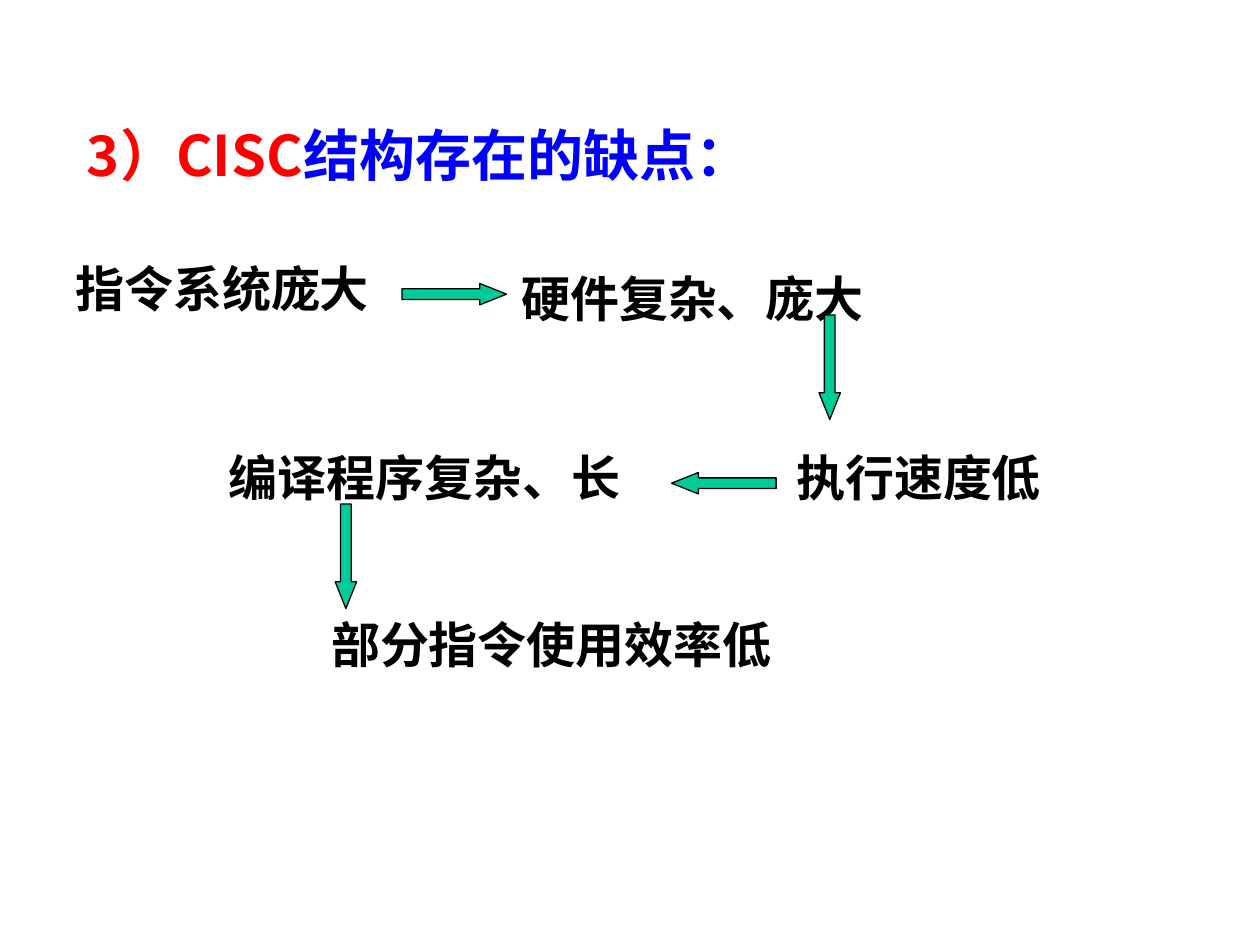
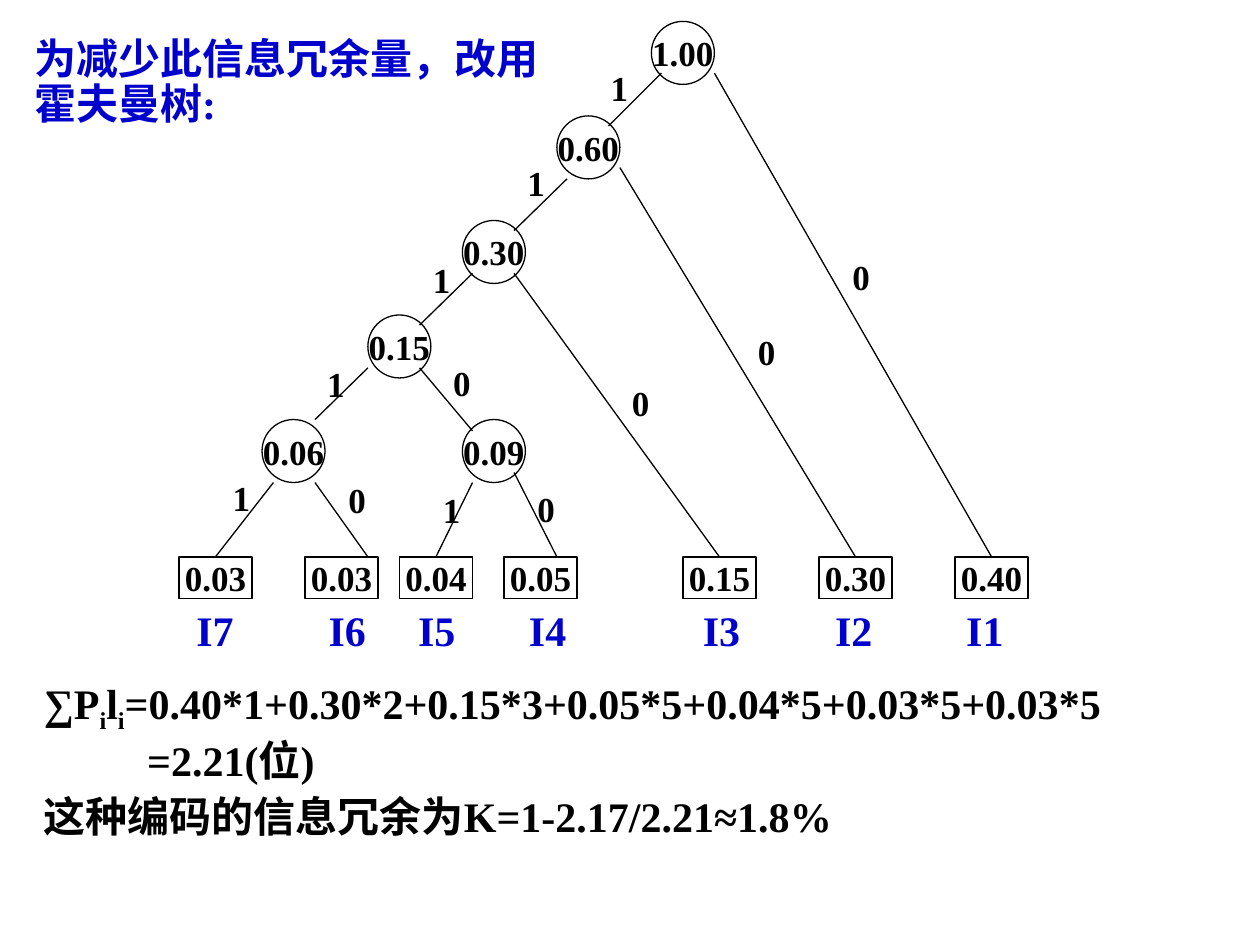
"""Build two slides: drawbacks of CISC and a Huffman code tree."""
import lxml.etree
import pptx
import pptx.dml.color
import pptx.enum.shapes
import pptx.enum.text
import pptx.oxml.ns
import pptx.util

Inches = pptx.util.Inches
Pt = pptx.util.Pt
Shape = pptx.enum.shapes.MSO_SHAPE
Align = pptx.enum.text.PP_ALIGN
Anchor = pptx.enum.text.MSO_ANCHOR
qn = pptx.oxml.ns.qn

SERIF = "Times New Roman"
SANS = "Noto Sans CJK SC"
BLACK, WHITE, GREEN = "000000", "FFFFFF", "00CC99"
RED, BLUE, NAVY = "FF0000", "0000FF", "0000CC"
NODE, LEAF = 0.5, (0.58, 0.33)
LEAF_TOP = 4.42

FLAWS = [
    ("指令系统庞大", 0.5, 2, 2.67, Align.LEFT),
    ("硬件复杂、庞大 ", 4, 2.08, 3.08, Align.CENTER),
    ("执行速度低 ", 6.17, 3.5, 2.33, Align.CENTER),
    ("编译程序复杂、长 ", 1.5, 3.5, 3.83, Align.CENTER),
    ("部分指令使用效率低 ", 1.92, 4.83, 5, Align.CENTER),
]
ARROWS = [(3.19, 2.25, 0), (6.17, 2.83, 90), (2.33, 4.33, 90), (5.33, 3.75, 180)]
NODES = [
    ("1.00", 5.17, 0.17), ("0.60", 4.42, 0.92), ("0.30", 3.67, 1.75),
    ("0.15", 2.92, 2.5), ("0.06", 2.08, 3.33), ("0.09", 3.67, 3.33),
]
LEAVES = {
    "I7": ("0.03", 1.42), "I6": ("0.03", 2.42), "I5": ("0.04", 3.17),
    "I4": ("0.05", 4), "I3": ("0.15", 5.42), "I2": ("0.30", 6.5),
    "I1": ("0.40", 7.58),
}
TABS = [0.16, 1.21, 1.92, 2.8, 4.18, 5.23, 6.27]
EDGES = [
    ((5.25, 0.58), (4.83, 1), "1", (4.58, 0.48)),
    ((4.5, 1.42), (4.08, 1.83), "1", (3.92, 1.23)),
    ((3.75, 2.17), (3.33, 2.58), "1", (3.17, 2)),
    ((2.92, 2.92), (2.5, 3.33), "1", (2.33, 2.83)),
    ((2.17, 3.83), "I7", "1", (1.58, 3.73)),
    ((2.5, 3.83), (2.92, LEAF_TOP), "0", (2.5, 3.75)),
    ((3.75, 3.83), "I5", "1", (3.25, 3.83)),
    ((4.08, 3.75), (4.42, LEAF_TOP), "0", (4, 3.82)),
    ((3.33, 2.92), (3.75, 3.42), "0", (3.33, 2.82)),
    ((4.08, 2.17), "I3", "0", (4.75, 2.98)),
    ((4.92, 1.33), "I2", "0", (5.75, 2.57)),
    ((5.67, 0.58), "I1", "0", (6.5, 1.98)),
]


def color(code):
    return pptx.dml.color.RGBColor.from_string(code)


def style(run, size, code, face=SERIF):
    run.font.size = Pt(size)
    run.font.bold = True
    run.font.color.rgb = color(code)
    run.font.name = face
    props = run.font._element
    lxml.etree.SubElement(props, qn("a:ea")).set("typeface", SANS)


def add_runs(par, parts, size, face=SERIF):
    for text, code in parts:
        run = par.add_run()
        run.text = text
        style(run, size, code, face)


def add_label(slide, text, box, size, code=BLACK, align=Align.CENTER, before=0):
    shape = slide.shapes.add_textbox(*map(Inches, box))
    frame = shape.text_frame
    frame.word_wrap = True
    par = frame.paragraphs[0]
    par.text = text
    par.alignment = align
    par.space_before = Pt(before)
    style(par.runs[0], size, code)
    return par


def add_shape(slide, kind, box, fill):
    shape = slide.shapes.add_shape(kind, *map(Inches, box))
    shape.shadow.inherit = False
    shape.fill.solid()
    shape.fill.fore_color.rgb = color(fill)
    shape.line.color.rgb = color(BLACK)
    shape.line.width = Pt(0.75)
    return shape


def add_arrow(slide, left, top, turn):
    arrow = add_shape(slide, Shape.RIGHT_ARROW, (left, top, 0.83, 0.17), GREEN)
    arrow.adjustments[1] = 1.25
    arrow.rotation = turn


def add_node(slide, kind, text, box):
    shape = add_shape(slide, kind, box, WHITE)
    frame = shape.text_frame
    frame.word_wrap = False
    frame.vertical_anchor = Anchor.MIDDLE
    par = frame.paragraphs[0]
    par.text = text
    par.alignment = Align.CENTER
    style(par.runs[0], 20, BLACK)
    return shape


def add_edge(slide, start, end, leaves):
    goal = (0, 0) if end in leaves else end
    kind = pptx.enum.shapes.MSO_CONNECTOR.STRAIGHT
    line = slide.shapes.add_connector(kind, *map(Inches, start + goal))
    if end in leaves:
        line.end_connect(leaves[end], 0)
    line.line.color.rgb = color(BLACK)
    line.line.width = Pt(0.75)
    lxml.etree.SubElement(line._element.spPr, qn("a:effectLst"))


def add_title(slide, parts, box, size, face, anchor):
    title = slide.shapes.title
    title.left, title.top, title.width, title.height = map(Inches, box)
    frame = title.text_frame
    frame.auto_size = pptx.enum.text.MSO_AUTO_SIZE.NONE
    frame.vertical_anchor = anchor
    par = frame.paragraphs[0]
    par.alignment = Align.LEFT
    add_runs(par, parts, size, face)
    return par


def add_tabs(par, stops):
    tabs = lxml.etree.SubElement(par._p.get_or_add_pPr(), qn("a:tabLst"))
    for stop in stops:
        tab = lxml.etree.SubElement(tabs, qn("a:tab"))
        tab.set("pos", str(Inches(stop)))
        tab.set("algn", "l")


def add_sums(slide):
    shape = slide.shapes.add_textbox(*map(Inches, (0.25, 5.33, 9.08, 1.42)))
    frame = shape.text_frame
    frame.word_wrap = True
    rows = [
        (["∑P", "i", "l", "i", "=0.40*1+0.30*2+0.15*3+0.05*5+0.04*5+0.03*5+0.03*5"],
         0.38, -0.38),
        (["=2.21(位)"], 0.82, 0),
        (["这种编码的信息冗余为K=1-2.17/2.21≈1.8%"], 0.38, -0.38),
    ]
    for row, (texts, left, hang) in enumerate(rows):
        par = frame.add_paragraph() if row else frame.paragraphs[0]
        par.line_spacing = 0.9
        par.space_before = Pt(6)
        props = par._p.get_or_add_pPr()
        props.set("marL", str(Inches(left)))
        props.set("indent", str(Inches(hang)))
        add_runs(par, [(text, BLACK) for text in texts], 24)
        for run in par.runs:
            if run.text == "i":
                run.font._element.set("baseline", "-25000")


def draw_flaws(slide):
    add_title(slide, [("3）CISC", RED), ("结构存在的缺点：", BLUE)],
              (0.59, 0.6, 8.5, 1.25), 32, SANS, Anchor.MIDDLE)
    for text, left, top, width, align in FLAWS:
        add_label(slide, text, (left, top, width, 0.57), 28, align=align, before=17.5)
    for arrow in ARROWS:
        add_arrow(slide, *arrow)


def draw_tree(slide):
    head = add_title(slide, [("为减少此信息冗余量，改用霍夫曼树:", NAVY)],
                     (0.17, 0.25, 4.31, 0.82), 24, SERIF, Anchor.TOP)
    head.line_spacing = 0.9
    head.space_before = Pt(6)
    add_sums(slide)
    for text, left, top in NODES:
        add_node(slide, Shape.OVAL, text, (left, top, NODE, NODE))
    leaves = {
        name: add_node(slide, Shape.RECTANGLE, text, (left, LEAF_TOP, *LEAF))
        for name, (text, left) in LEAVES.items()
    }
    for start, end, bit, spot in EDGES:
        add_edge(slide, start, end, leaves)
        add_label(slide, bit, (*spot, 0.67, 0.44), 20, before=12.5)
    names = "".join("\t" + name for name in LEAVES)
    par = add_label(slide, names, (1.3, 4.75, 6.97, 0.5), 24, NAVY, Align.LEFT)
    add_tabs(par, TABS)


def main():
    deck = pptx.Presentation()
    deck.slide_width, deck.slide_height = Inches(10), Inches(7.5)
    for draw in (draw_flaws, draw_tree):
        draw(deck.slides.add_slide(deck.slide_layouts[5]))
    deck.save("out.pptx")


if __name__ == "__main__":
    main()
